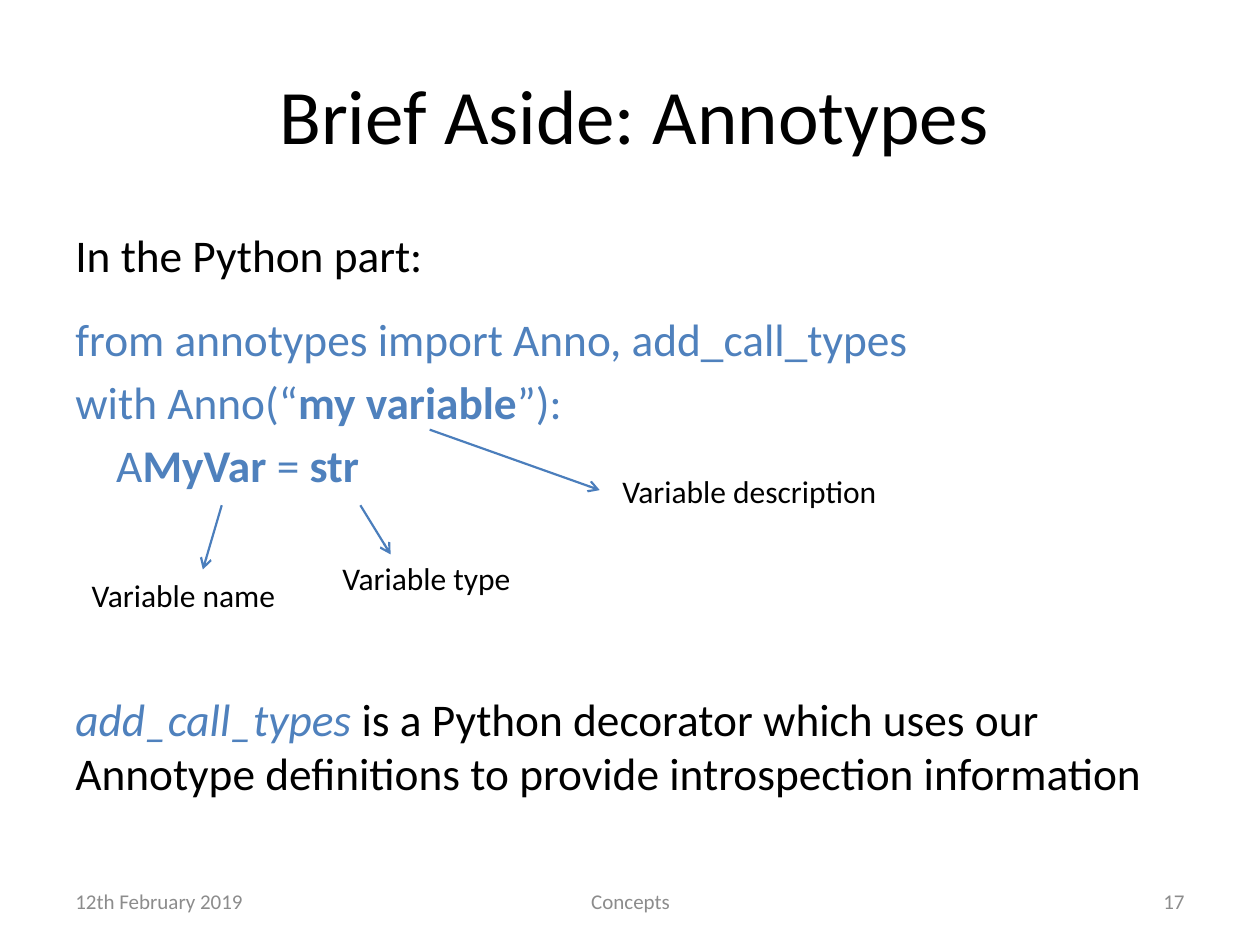
from typing import NamedTuple

from lxml.etree import SubElement
from pptx import Presentation
from pptx.dml.color import RGBColor
from pptx.enum.shapes import MSO_CONNECTOR as Conn
from pptx.enum.text import MSO_ANCHOR as Anchor, PP_ALIGN as Align
from pptx.oxml.ns import qn
from pptx.util import Inches, Pt

COLORS = {"text": "000000", "code": "4F81BD", "line": "4B7EBC", "foot": "8C8C8C"}
FONT = "Calibri"
BODY_SIZE = 25.9


class Span(NamedTuple):
    text: str
    color: str = "code"
    bold: bool = False
    italic: bool = False


class Line(NamedTuple):
    spans: list[Span]
    before: float = 5
    after: float = 0


class Label(NamedTuple):
    text: str
    left: float
    top: float
    width: float
    size: float = 18
    color: str = "text"
    align: Align = Align.LEFT
    anchor: Anchor = Anchor.TOP


class Arrow(NamedTuple):
    start: tuple[float, float]
    end: tuple[float, float]


BODY = [
    Line([Span("In the Python part:", "text")], before=0, after=12),
    Line([Span("from annotypes import Anno, add_call_types")]),
    Line([Span("with Anno(“"), Span("my variable", bold=True), Span("”):")]),
    Line([Span("    A"), Span("MyVar", bold=True), Span(" = "),
          Span("str", bold=True)]),
    Line([Span("add_call_types ", italic=True),
          Span("is a Python decorator which uses our Annotype definitions "
               "to provide introspection information", "text")], before=114),
]
LABELS = [
    Label("Variable description", 4.84, 3.7, 2.52),
    Label("Variable name", 0.63, 4.52, 1.73),
    Label("Variable type", 2.62, 4.39, 1.73),
    Label("12th February 2019", 0.5, 6.95, 2.33, 12, "foot",
          Align.LEFT, Anchor.MIDDLE),
    Label("Concepts", 3.42, 6.95, 3.17, 12, "foot",
          Align.CENTER, Anchor.MIDDLE),
    Label("17", 7.17, 6.95, 2.33, 12, "foot", Align.RIGHT, Anchor.MIDDLE),
]
ARROWS = [
    Arrow((3.41, 3.41), (4.76, 3.89)),
    Arrow((1.76, 4.01), (1.61, 4.52)),
    Arrow((2.86, 4.01), (3.1, 4.4)),
]


def style(font, size: float, color: str) -> None:
    font.name = FONT
    font.size = Pt(size)
    font.color.rgb = RGBColor.from_string(COLORS[color])


def add_title(slide, text: str) -> None:
    title = slide.shapes.title
    title.left, title.top = Inches(1.69), Inches(0.28)
    title.width, title.height = Inches(6.69), Inches(1.25)
    frame = title.text_frame
    frame.text = text
    frame.vertical_anchor = Anchor.MIDDLE
    para = frame.paragraphs[0]
    para.alignment = Align.CENTER
    style(para.runs[0].font, 44, "text")


def add_body(slide, lines: list[Line]) -> None:
    box = slide.shapes.add_textbox(
        Inches(0.5), Inches(1.75), Inches(9), Inches(4.95))
    frame = box.text_frame
    frame.word_wrap = True
    for i, line in enumerate(lines):
        para = frame.add_paragraph() if i else frame.paragraphs[0]
        para.space_before, para.space_after = Pt(line.before), Pt(line.after)
        for span in line.spans:
            run = para.add_run()
            run.text = span.text
            style(run.font, BODY_SIZE, span.color)
            run.font.bold, run.font.italic = span.bold, span.italic


def add_label(slide, label: Label) -> None:
    box = slide.shapes.add_textbox(
        Inches(label.left), Inches(label.top), Inches(label.width), Inches(0.4))
    frame = box.text_frame
    frame.word_wrap = True
    frame.vertical_anchor = label.anchor
    frame.text = label.text
    para = frame.paragraphs[0]
    para.alignment = label.align
    style(para.runs[0].font, label.size, label.color)


def add_arrow(slide, arrow: Arrow) -> None:
    ends = [Inches(v) for v in arrow.start + arrow.end]
    link = slide.shapes.add_connector(Conn.STRAIGHT, *ends)
    link.line.width = Pt(1.25)
    link.line.color.rgb = RGBColor.from_string(COLORS["line"])
    SubElement(link.line._get_or_add_ln(), qn("a:tailEnd"), type="arrow")
    SubElement(link._element.spPr, qn("a:effectLst"))


def main() -> None:
    deck = Presentation()
    deck.slide_width, deck.slide_height = Inches(10), Inches(7.5)
    slide = deck.slides.add_slide(deck.slide_layouts[5])
    add_title(slide, "Brief Aside: Annotypes")
    add_body(slide, BODY)
    for label in LABELS:
        add_label(slide, label)
    for arrow in ARROWS:
        add_arrow(slide, arrow)
    deck.save("out.pptx")


if __name__ == "__main__":
    main()
